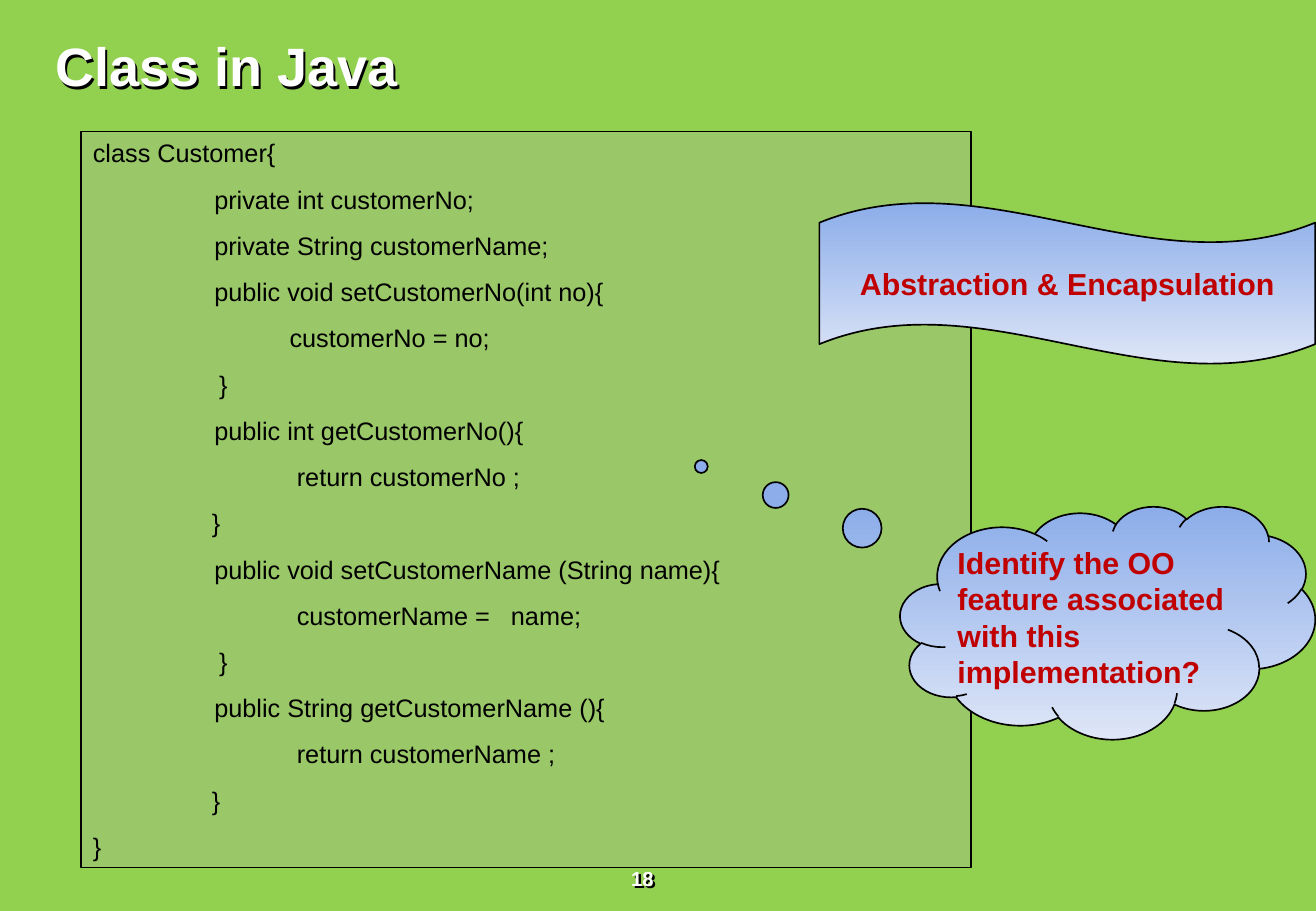
from pptx import Presentation
from pptx import util as u
from pptx.dml.color import RGBColor
from pptx.enum import shapes, text
from pptx.oxml import ns
from lxml import etree

CELL = u.Inches(1) / 12  # the slide is about 130 columns by 90 rows

COLOURS = {
    "background": "92D050",
    "heading": "FFFFFF",
    "ink": "000000",
    "panel": "B2B2B2",
    "callout": "C00000",
    "sky_top": "8CADEA",
    "sky_bottom": "DEE6F7",
}

# Indent in inches, then the line of code
CUSTOMER_CLASS = [
    (0, "class Customer{"),
    (1, "private int customerNo;"),
    (1, "private String customerName;"),
    (1, "public void setCustomerNo(int no){"),
    (1.62, "customerNo = no;"),
    (1.04, "}"),
    (1, "public int getCustomerNo(){"),
    (1.68, "return customerNo ;"),
    (0.98, "}"),
    (1, "public void setCustomerName (String name){"),
    (1.68, "customerName =   name;"),
    (1.04, "}"),
    (1, "public String getCustomerName (){"),
    (1.68, "return customerName ;"),
    (0.98, "}"),
    (0, "}"),
]


def rgb(name):
    return RGBColor.from_string(COLOURS[name])


def grid(*cells):
    return [u.Emu(round(count * CELL)) for count in cells]


def add_run(paragraph, words, size, colour, bold=False):
    run = paragraph.add_run()
    run.text = words
    run.font.name = "Arial"
    run.font.size = u.Pt(size)
    run.font.bold = bold
    run.font.color.rgb = rgb(colour)


def cast_shadow(box):
    """Give an unfilled box, and so its letters, a black shadow down to the right."""
    effects = etree.SubElement(box._element.spPr, ns.qn("a:effectLst"))
    shadow = etree.SubElement(effects, ns.qn("a:outerShdw"),
                              dist="25400", dir="2700000", algn="tl")
    etree.SubElement(shadow, ns.qn("a:srgbClr"), val=COLOURS["ink"])


def add_heading(slide, cells, words, size, align, anchor):
    box = slide.shapes.add_textbox(*grid(*cells))
    cast_shadow(box)
    frame = box.text_frame
    frame.word_wrap = True
    frame.vertical_anchor = anchor
    paragraph = frame.paragraphs[0]
    paragraph.alignment = align
    add_run(paragraph, words, size, "heading", bold=True)


def add_outlined(slide, preset, cells):
    shape = slide.shapes.add_shape(preset, *grid(*cells))
    shape.shadow.inherit = False
    shape.line.color.rgb = rgb("ink")
    shape.line.width = u.Pt(1)
    shape.text_frame.word_wrap = True
    return shape


def add_code_panel(slide, cells, lines):
    panel = add_outlined(slide, shapes.MSO_SHAPE.RECTANGLE, cells)
    panel.fill.solid()
    panel.fill.fore_color.rgb = rgb("panel")
    tint = panel.fill._xPr.find(ns.qn("a:solidFill"))[0]
    etree.SubElement(tint, ns.qn("a:alpha"), val="25000")

    frame = panel.text_frame
    frame.vertical_anchor = text.MSO_ANCHOR.TOP
    for number, (indent, code) in enumerate(lines):
        paragraph = frame.add_paragraph() if number else frame.paragraphs[0]
        paragraph.alignment = text.PP_ALIGN.LEFT
        paragraph.space_before = u.Pt(9.4)
        paragraph._p.get_or_add_pPr().set("marL", str(u.Inches(indent)))
        add_run(paragraph, code, 15, "ink")


def add_callout(slide, preset, cells, words, align, side_inset, adjustments=()):
    callout = add_outlined(slide, preset, cells)
    for index, value in enumerate(adjustments):
        callout.adjustments[index] = value
    callout.fill.gradient()
    callout.fill.gradient_angle = 270
    for stop, colour in zip(callout.fill.gradient_stops, ("sky_top", "sky_bottom")):
        stop.color.rgb = rgb(colour)

    frame = callout.text_frame
    frame.vertical_anchor = text.MSO_ANCHOR.MIDDLE
    frame.margin_left = frame.margin_right = u.Inches(side_inset)
    paragraph = frame.paragraphs[0]
    paragraph.alignment = align
    add_run(paragraph, words, 18, "callout", bold=True)


def main():
    deck = Presentation()
    deck.slide_width, deck.slide_height = u.Inches(10.84), u.Inches(7.5)
    slide = deck.slides.add_slide(deck.slide_layouts[6])
    slide.background.fill.solid()
    slide.background.fill.fore_color.rgb = rgb("background")

    left, centre = text.PP_ALIGN.LEFT, text.PP_ALIGN.CENTER
    add_heading(slide, (58, 85, 11, 6.2), "18", 12, centre, text.MSO_ANCHOR.TOP)
    add_heading(slide, (4.3, 0.1, 106, 12.7), "Class in Java", 32, left,
                text.MSO_ANCHOR.MIDDLE)
    add_code_panel(slide, (8, 13, 88, 72.7), CUSTOMER_CLASS)
    add_callout(slide, shapes.MSO_SHAPE.CLOUD_CALLOUT, (89, 50, 41, 23),
                "Identify the OO feature associated with this implementation?",
                left, 0, adjustments=(-0.98, -0.67))
    add_callout(slide, shapes.MSO_SHAPE.WAVE, (81, 20, 49, 16),
                "Abstraction & Encapsulation", centre, 0.1)
    deck.save("out.pptx")


if __name__ == "__main__":
    main()
